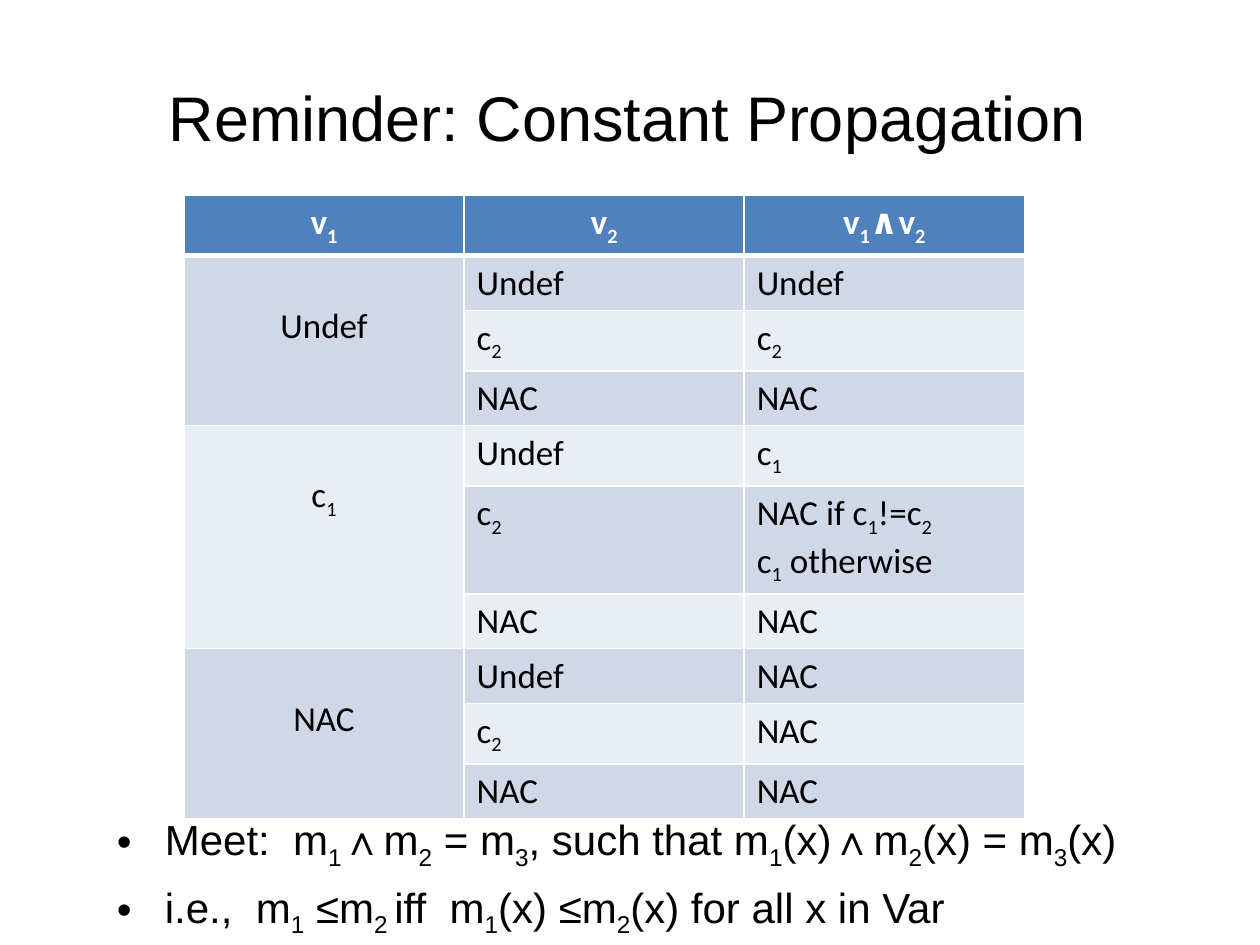
from dataclasses import dataclass

import pptx
import pptx.dml.color
import pptx.enum.text
import pptx.oxml.ns
import pptx.util
from lxml import etree

Inches = pptx.util.Inches
Align = pptx.enum.text.PP_ALIGN
Anchor = pptx.enum.text.MSO_ANCHOR
qn = pptx.oxml.ns.qn

BLACK, WHITE = "000000", "FFFFFF"
HEADER_FILL = "4F81BD"
BAND_FILLS = ("D0D8E8", "E9EDF4")
ROW_HEIGHT = Inches(0.41)


@dataclass(frozen=True)
class TextStyle:
    font: str
    size: float
    color: str = BLACK
    bold: bool = False
    align: Align = Align.LEFT


@dataclass(frozen=True)
class MeetGroup:
    """One value of v1, with the (v2, result) rows that belong to it."""
    value: str
    rows: tuple


TITLE = TextStyle("Arial", 36, align=Align.CENTER)
BODY = TextStyle("Arial", 24)
HEADER = TextStyle("Calibri", 20, WHITE, True, Align.CENTER)
VALUE = TextStyle("Calibri", 20, align=Align.CENTER)
ENTRY = TextStyle("Calibri", 20)

# Text between a pair of bars is set as a subscript
HEADINGS = ("v|1|", "v|2|", "v|1|∧v|2|")
GROUPS = (
    MeetGroup("Undef", (("Undef", "Undef"), ("c|2|", "c|2|"), ("NAC", "NAC"))),
    MeetGroup("c|1|", (("Undef", "c|1|"),
                       ("c|2|", "NAC if c|1|!=c|2|\nc|1| otherwise"),
                       ("NAC", "NAC"))),
    MeetGroup("NAC", (("Undef", "NAC"), ("c|2|", "NAC"), ("NAC", "NAC"))),
)
BULLETS = (
    "Meet:  m|1|∧m|2| = m|3|, such that m|1|(x)∧m|2|(x) = m|3|(x)",
    "i.e.,  m|1| ≤m|2 |iff  m|1|(x) ≤m|2|(x) for all x in Var",
)


def rgb(color: str) -> pptx.dml.color.RGBColor:
    return pptx.dml.color.RGBColor.from_string(color)


def write_text(frame, text: str, style: TextStyle) -> None:
    for index, line in enumerate(text.split("\n")):
        para = frame.paragraphs[0] if index == 0 else frame.add_paragraph()
        para.alignment = style.align
        for position, piece in enumerate(line.split("|")):
            if not piece:
                continue
            span = para.add_run()
            span.text = piece
            span.font.name = style.font
            span.font.size = pptx.util.Pt(style.size)
            span.font.bold = style.bold
            span.font.color.rgb = rgb(style.color)
            if position % 2:
                span.font._element.set("baseline", "-25000")


def add_text(page, left: float, top: float, width: float, height: float,
             text: str, style: TextStyle):
    box = page.shapes.add_textbox(Inches(left), Inches(top),
                                  Inches(width), Inches(height))
    box.text_frame.word_wrap = True
    write_text(box.text_frame, text, style)
    return box.text_frame


def set_indent(para, margin: float, first: float) -> None:
    properties = para._p.get_or_add_pPr()
    properties.set("marL", str(Inches(margin)))
    properties.set("indent", str(Inches(first)))


def style_cell(cell, fill: str, top: float = 1, bottom: float = 1) -> None:
    properties = cell._tc.get_or_add_tcPr()
    for side, width in (("L", 1), ("R", 1), ("T", top), ("B", bottom)):
        line = etree.SubElement(properties, qn(f"a:ln{side}"),
                                w=str(pptx.util.Pt(width)))
        solid = etree.SubElement(line, qn("a:solidFill"))
        etree.SubElement(solid, qn("a:srgbClr"), val=WHITE)
    cell.fill.solid()
    cell.fill.fore_color.rgb = rgb(fill)


def add_meet_table(page) -> None:
    row_count = 1 + sum(len(group.rows) for group in GROUPS)
    frame = page.shapes.add_table(row_count, len(HEADINGS), Inches(1.46),
                                  Inches(1.55), Inches(6.67), Inches(4.67))
    table = frame.table
    table.horz_banding = False
    for row in table.rows:
        row.height = ROW_HEIGHT

    # Header row
    for column, heading in enumerate(HEADINGS):
        cell = table.cell(0, column)
        write_text(cell.text_frame, heading, HEADER)
        style_cell(cell, HEADER_FILL, bottom=3)

    # One merged value cell beside each group of rows
    first = 1
    for group in GROUPS:
        last = first + len(group.rows) - 1
        value_cell = table.cell(first, 0)
        value_cell.merge(table.cell(last, 0))
        value_cell.margin_top = Inches(0.39)
        write_text(value_cell.text_frame, group.value, VALUE)
        for number, entries in enumerate(group.rows, first):
            for column, entry in enumerate(entries, 1):
                write_text(table.cell(number, column).text_frame, entry, ENTRY)
            for column in range(len(HEADINGS)):
                style_cell(table.cell(number, column),
                           BAND_FILLS[(number - 1) % 2],
                           top=3 if number == 1 else 1)
        first = last + 1


def add_bullets(page) -> None:
    frame = add_text(page, 0.83, 6.41, 8.35, 1.06, "\n".join(BULLETS), BODY)
    for index, para in enumerate(frame.paragraphs):
        set_indent(para, 0.38, -0.38)
        if index:
            para.space_before = pptx.util.Pt(5.76)
        properties = para._p.get_or_add_pPr()
        etree.SubElement(properties, qn("a:buFont"), typeface="Arial")
        etree.SubElement(properties, qn("a:buChar"), char="•")


def main() -> None:
    deck = pptx.Presentation()
    deck.slide_width, deck.slide_height = Inches(10), Inches(7.5)
    page = deck.slides.add_slide(deck.slide_layouts[6])

    # Title
    title = add_text(page, 0.5, 0, 9, 1.85,
                     "Reminder: Constant Propagation", TITLE)
    title.vertical_anchor = Anchor.MIDDLE
    title.margin_left = title.margin_top = title.margin_bottom = Inches(0.06)
    title.margin_right = Inches(0.14)
    set_indent(title.paragraphs[0], 0.04, 0)

    # Meet table and the rules below it
    add_meet_table(page)
    add_bullets(page)
    deck.save("out.pptx")


if __name__ == "__main__":
    main()
